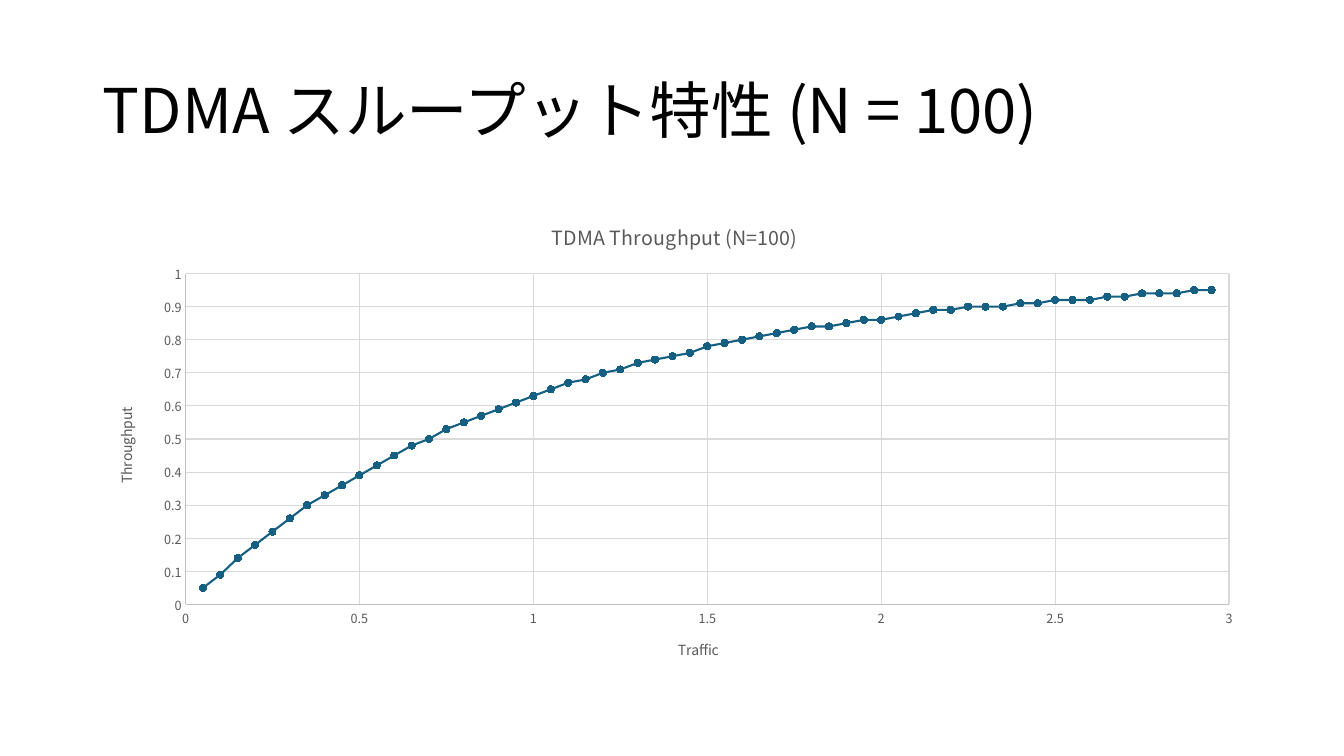
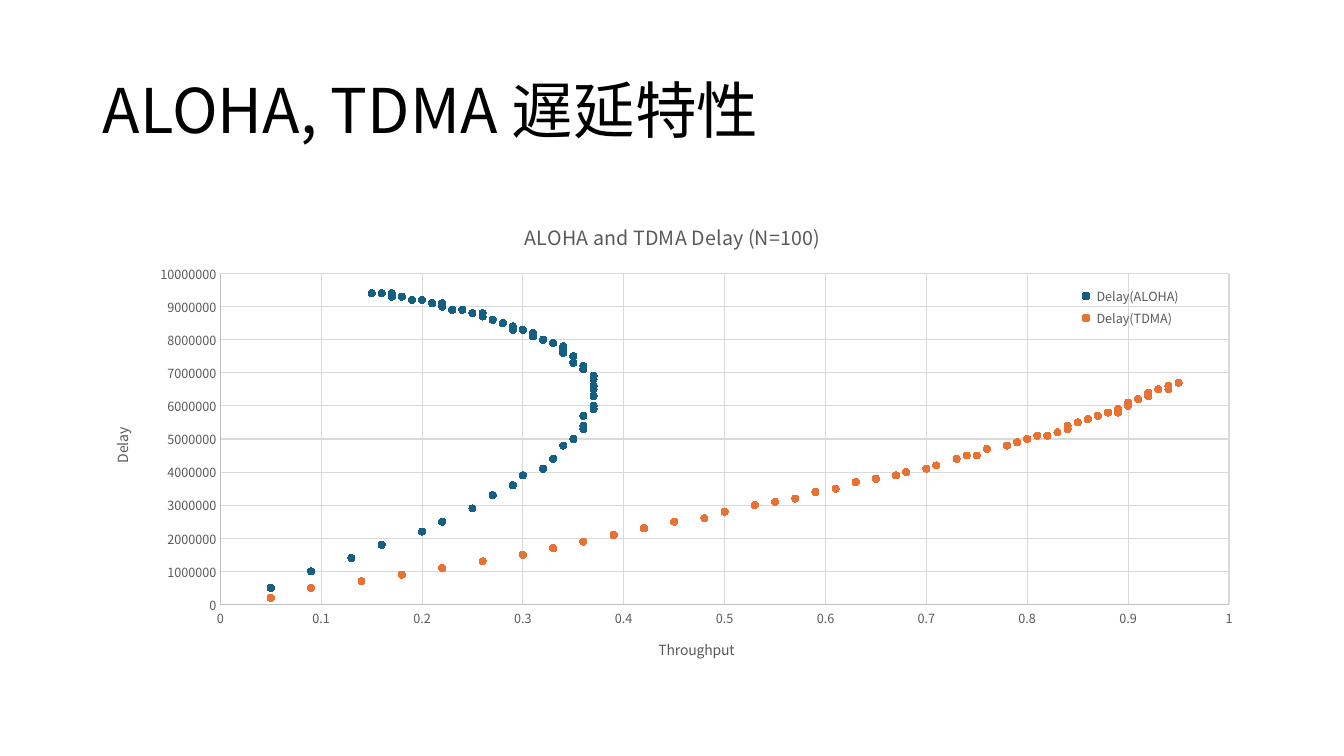
"""Build two slides charting TDMA throughput and ALOHA and TDMA delay."""
from dataclasses import dataclass
from typing import Any

from lxml import etree
from pptx import Presentation, util as u
from pptx.chart import data as cd
from pptx.dml import color as dc
from pptx.enum import chart as ec, text as et
from pptx.oxml import ns

FONT = "Noto Sans CJK JP"
HUES = {
    "ink": "000000",
    "grey": "595959",
    "axis": "BFBFBF",
    "grid": "D9D9D9",
    "blue": "156082",
    "gold": "E97132",
}
LEFT, WIDTH = u.Inches(0.92), u.Inches(11.5)

LOADS = [step / 20 for step in range(1, 60)]
TDMA_RATE = [n / 100 for n in (
    5, 9, 14, 18, 22, 26, 30, 33, 36, 39, 42, 45, 48, 50, 53, 55, 57, 59, 61, 63,
    65, 67, 68, 70, 71, 73, 74, 75, 76, 78, 79, 80, 81, 82, 83, 84, 84, 85, 86, 86,
    87, 88, 89, 89, 90, 90, 90, 91, 91, 92, 92, 92, 93, 93, 94, 94, 94, 95, 95)]
ALOHA_RATE = [n / 100 for n in (
    5, 9, 13, 16, 20, 22, 25, 27, 29, 30, 32, 33, 34, 35, 36, 36, 36, 37, 37, 37,
    37, 37, 37, 37, 36, 36, 35, 35, 34, 34, 34, 33, 32, 31, 31, 30, 29, 29, 28, 27,
    27, 26, 26, 25, 24, 23, 22, 22, 22, 21, 20, 20, 19, 18, 18, 17, 17, 16, 15)]
TDMA_DELAY = [n * 100000 for n in (
    2, 5, 7, 9, 11, 13, 15, 17, 19, 21, 23, 25, 26, 28, 30, 31, 32, 34, 35, 37,
    38, 39, 40, 41, 42, 44, 45, 45, 47, 48, 49, 50, 51, 51, 52, 53, 54, 55, 56, 56,
    57, 58, 58, 59, 60, 60, 61, 62, 62, 63, 63, 64, 65, 65, 65, 66, 66, 67, 67)]
ALOHA_DELAY = [n * 100000 for n in (
    5, 10, 14, 18, 22, 25, 29, 33, 36, 39, 41, 44, 48, 50, 53, 54, 57, 59, 60, 63,
    65, 66, 68, 69, 71, 72, 73, 75, 76, 77, 78, 79, 80, 81, 82, 83, 83, 84, 85, 86,
    86, 87, 88, 88, 89, 89, 90, 90, 91, 91, 92, 92, 92, 93, 93, 93, 94, 94, 94)]


@dataclass(frozen=True)
class Curve:
    name: str
    xs: list[float]
    ys: list[float]
    hue: str


@dataclass(frozen=True)
class Scale:
    label: str
    top: float
    step: float


@dataclass(frozen=True)
class Graph:
    title: str
    head: str
    across: Scale
    up: Scale
    curves: tuple[Curve, ...]
    inset: float
    lined: bool = False


GRAPHS = (
    Graph(
        "TDMA スループット特性 (N = 100)", " TDMA Throughput (N=100)",
        Scale("Traffic", 3, 0.5), Scale("Throughput", 1, 0.1),
        (Curve("Series 1", LOADS, TDMA_RATE, "blue"),),
        inset=0.08, lined=True,
    ),
    Graph(
        "ALOHA, TDMA 遅延特性", "ALOHA and TDMA Delay (N=100)",
        Scale("Throughput", 1, 0.1), Scale("Delay", 10000000, 1000000),
        (Curve(" Delay(ALOHA)", ALOHA_RATE, ALOHA_DELAY, "blue"),
         Curve(" Delay(TDMA)", TDMA_RATE, TDMA_DELAY, "gold")),
        inset=0.11,
    ),
)


def tint(hue: str) -> dc.RGBColor:
    return dc.RGBColor.from_string(HUES[hue])


def style(font: Any, size: float, hue: str) -> None:
    font.name, font.size, font.bold = FONT, u.Pt(size), False
    font.color.rgb = tint(hue)


def put(frame: Any, text: str, *, size: float, hue: str = "grey") -> None:
    run = frame.paragraphs[0].add_run()
    run.text = text
    style(run.font, size, hue)
    east = etree.SubElement(run._r.get_or_add_rPr(), ns.qn("a:ea"))
    east.set("typeface", FONT)


def rule(line: Any, hue: str, width: float = 0.75) -> None:
    line.color.rgb = tint(hue)
    line.width = u.Pt(width)


def place(part: Any, spot: int, box: tuple[float, ...], inner: bool = False) -> None:
    for old in part.findall(ns.qn("c:layout")):
        part.remove(old)
    root = etree.Element(ns.qn("c:layout"))
    layout = etree.SubElement(root, ns.qn("c:manualLayout"))
    marks = [("layoutTarget", "inner")] if inner else []
    marks += [("xMode", "edge"), ("yMode", "edge")]
    marks += [(key, str(val)) for key, val in zip("xywh", box)]
    for tag, val in marks:
        etree.SubElement(layout, ns.qn(f"c:{tag}")).set("val", val)
    part.insert(spot, root)


def set_axis(axis: Any, scale: Scale, turn: int) -> None:
    axis.minimum_scale, axis.maximum_scale = 0, scale.top
    axis.major_unit = scale.step
    axis.major_tick_mark = axis.minor_tick_mark = ec.XL_TICK_MARK.NONE
    axis.has_major_gridlines = True
    rule(axis.major_gridlines.format.line, "grid")
    rule(axis.format.line, "axis")
    style(axis.tick_labels.font, 9, "grey")
    put(axis.axis_title.text_frame, scale.label, size=10)
    body = axis.axis_title.element.find(".//" + ns.qn("a:bodyPr"))
    body.set("rot", str(turn))
    body.set("vert", "horz")


def set_curve(series: Any, curve: Curve, lined: bool) -> None:
    if lined:
        rule(series.format.line, curve.hue, 1.5)
    else:
        series.format.line.fill.background()
    mark = series.marker
    mark.style, mark.size = ec.XL_MARKER_STYLE.CIRCLE, 5
    mark.format.fill.solid()
    mark.format.fill.fore_color.rgb = tint(curve.hue)
    rule(mark.format.line, curve.hue)


def set_key(chart: Any) -> None:
    key = chart.legend
    key.position = ec.XL_LEGEND_POSITION.CORNER
    key.include_in_layout = True
    style(key.font, 9, "grey")
    place(chart.element.find(".//" + ns.qn("c:legend")), 1, (0.84, 0.17, 0.11, 0.1))


def add_graph(slide: Any, graph: Graph) -> None:
    table = cd.XyChartData()
    for curve in graph.curves:
        series = table.add_series(curve.name)
        for x, y in zip(curve.xs, curve.ys):
            series.add_data_point(x, y)
    kinds = ec.XL_CHART_TYPE
    kind = kinds.XY_SCATTER_LINES if graph.lined else kinds.XY_SCATTER
    chart = slide.shapes.add_chart(
        kind, LEFT, u.Inches(2), WIDTH, u.Inches(4.76), table).chart
    style(chart.font, 10, "ink")
    chart.has_title = True
    put(chart.chart_title.text_frame, graph.head, size=14)
    plot = chart.plots[0]
    plot.vary_by_categories = False
    for series, curve in zip(plot.series, graph.curves):
        set_curve(series, curve, graph.lined)
    set_axis(chart.category_axis, graph.across, 0)
    set_axis(chart.value_axis, graph.up, -5400000)
    area = chart.element.find(".//" + ns.qn("c:plotArea"))
    place(area, 0, (graph.inset, 0.15, round(0.977 - graph.inset, 2), 0.69), inner=True)
    chart.has_legend = len(graph.curves) > 1
    if chart.has_legend:
        set_key(chart)


def add_title(slide: Any, text: str) -> None:
    title = slide.shapes.title
    title.left, title.top = LEFT, u.Inches(0.4)
    title.width, title.height = WIDTH, u.Inches(1.45)
    frame = title.text_frame
    frame.auto_size = et.MSO_AUTO_SIZE.NONE
    frame.vertical_anchor = et.MSO_ANCHOR.MIDDLE
    para = frame.paragraphs[0]
    para.alignment, para.line_spacing = et.PP_ALIGN.LEFT, 0.9
    put(frame, text, size=44, hue="ink")


def main() -> None:
    deck = Presentation()
    deck.slide_width, deck.slide_height = u.Inches(13.33), u.Inches(7.5)
    layout = deck.slide_layouts.get_by_name("Title Only")
    for graph in GRAPHS:
        slide = deck.slides.add_slide(layout)
        add_title(slide, graph.title)
        add_graph(slide, graph)
    deck.save("out.pptx")


if __name__ == "__main__":
    main()
